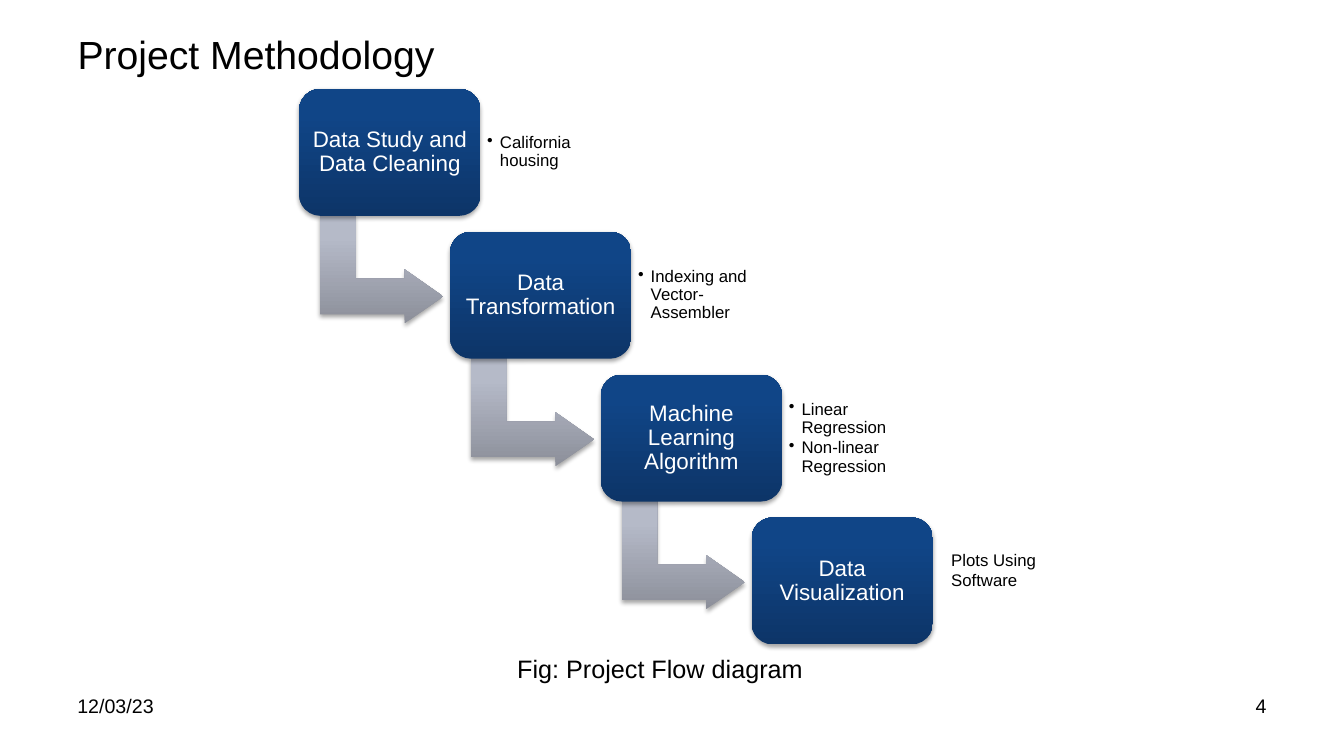
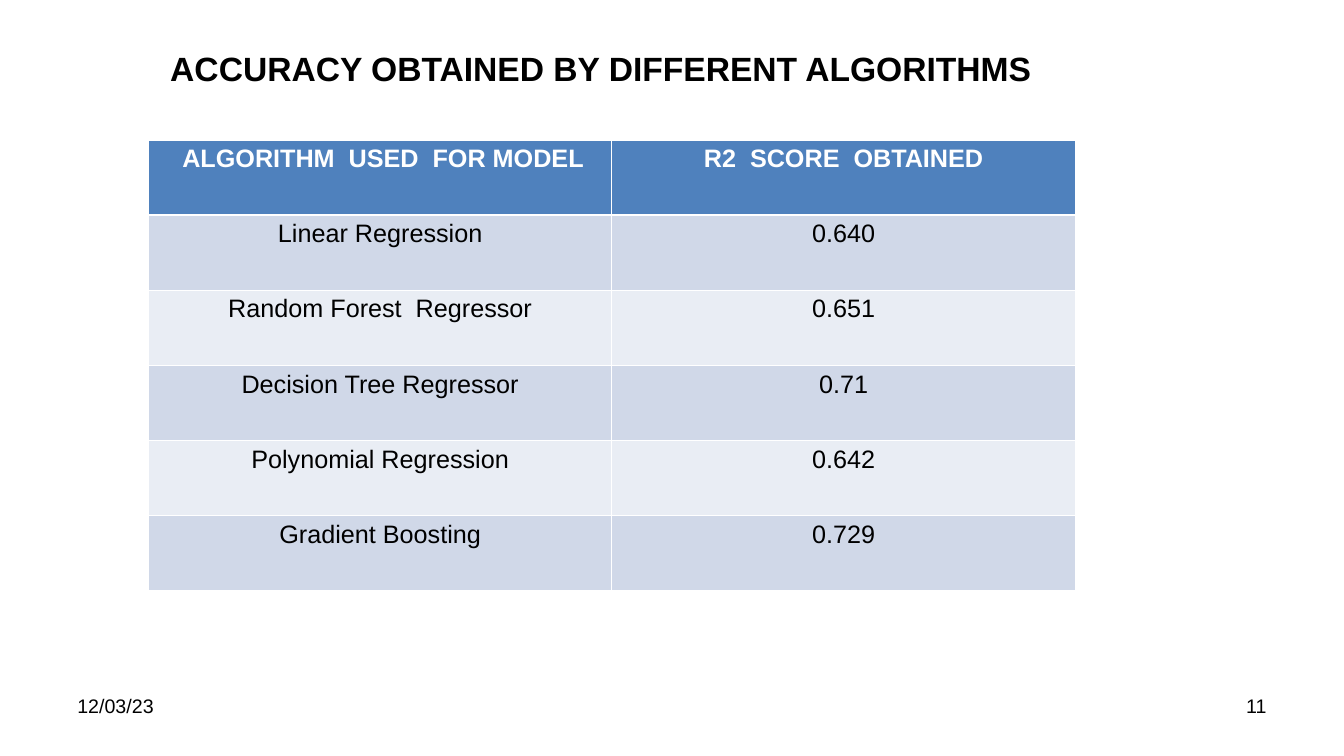
import pptx
import pptx.dml.color
import pptx.enum.shapes
import pptx.enum.text
import pptx.oxml
import pptx.oxml.ns
import pptx.util

Cm = pptx.util.Cm
Pt = pptx.util.Pt
RGBColor = pptx.dml.color.RGBColor
Align = pptx.enum.text.PP_ALIGN
Anchor = pptx.enum.text.MSO_ANCHOR
Shape = pptx.enum.shapes.MSO_SHAPE

FONT = "Arial"
BLACK = RGBColor(0x00, 0x00, 0x00)
WHITE = RGBColor(0xFF, 0xFF, 0xFF)
HEADER_BLUE = RGBColor(0x4F, 0x81, 0xBD)
BANDS = (RGBColor(0xD0, 0xD8, 0xE8), RGBColor(0xE9, 0xED, 0xF4))

# Gradient colours at 0, 80 and 100 percent, from bottom to top
CARD_COLOURS = (RGBColor(0x0D, 0x35, 0x68), RGBColor(0x10, 0x45, 0x87), RGBColor(0x0E, 0x45, 0x8A))
ARROW_COLOURS = (RGBColor(0x8C, 0x8F, 0x9A), RGBColor(0xB5, 0xBA, 0xC8), RGBColor(0xB6, 0xBB, 0xC9))
STOPS = (0, 80, 100)

DATE = "12/03/23"
METHOD_TITLE = "Project Methodology"
METHOD_CAPTION = "Fig: Project Flow diagram"
STEPS = [
    ("Data Study and Data Cleaning", ["California housing"]),
    ("Data Transformation", ["Indexing and Vector-Assembler"]),
    ("Machine Learning Algorithm", ["Linear Regression", "Non-linear Regression"]),
    ("Data Visualization", []),
]
LAST_STEP_NOTE = "Plots Using Software"

SCORES_TITLE = "ACCURACY OBTAINED BY DIFFERENT ALGORITHMS"
SCORES = [
    (" ALGORITHM  USED  FOR MODEL", "R2  SCORE  OBTAINED"),
    ("Linear Regression", "0.640"),
    ("Random Forest  Regressor", "0.651"),
    ("Decision Tree Regressor", "0.71"),
    ("Polynomial Regression", "0.642"),
    ("Gradient Boosting", "0.729"),
]

# Lengths in centimetres
MARGIN = 1.7
FOOTER_TOP, FOOTER_WIDTH, FOOTER_HEIGHT = 17.35, 7.9, 1.32
SLIDE_WIDTH, SLIDE_HEIGHT = 33.87, 19.05
CARD_LEFT, CARD_TOP, CARD_WIDTH, CARD_HEIGHT = 7.54, 2.24, 4.57, 3.2
STEP_RIGHT, STEP_DOWN = 3.8, 3.6
ARROW_WIDTH, ARROW_HEIGHT = 2.72, 3.1
NOTE_WIDTH, NOTE_HEIGHT = 3.33, 2.6
INSET = 0.17


def style(para, size, colour=BLACK, align=Align.LEFT, bold=False):
    para.alignment = align
    para.font.name = FONT
    para.font.size = Pt(size)
    para.font.bold = bold
    para.font.color.rgb = colour


def add_text(page, text, box, size, align=Align.LEFT):
    frame = page.shapes.add_textbox(*map(Cm, box)).text_frame
    frame.word_wrap = True
    frame.text = text
    style(frame.paragraphs[0], size, align=align)


def set_insets(frame):
    frame.word_wrap = True
    frame.vertical_anchor = Anchor.MIDDLE
    frame.margin_left = frame.margin_right = Cm(INSET)
    frame.margin_top = frame.margin_bottom = Cm(INSET)


def add_page(deck, number, title, title_box, **title_style):
    """Add a slide with its title, date and slide number."""
    page = deck.slides.add_slide(deck.slide_layouts[5])
    heading = page.shapes.title
    heading.left, heading.top, heading.width, heading.height = map(Cm, title_box)
    heading.text_frame.text = title
    heading.text_frame.auto_size = pptx.enum.text.MSO_AUTO_SIZE.NONE
    heading.text_frame.vertical_anchor = Anchor.MIDDLE
    style(heading.text_frame.paragraphs[0], **title_style)

    footer_size = (FOOTER_WIDTH, FOOTER_HEIGHT)
    number_left = SLIDE_WIDTH - MARGIN - FOOTER_WIDTH
    add_text(page, DATE, (MARGIN, FOOTER_TOP, *footer_size), 14)
    add_text(page, str(number), (number_left, FOOTER_TOP, *footer_size), 14, Align.RIGHT)
    return page


def shade(shape, colours):
    """Give a shape a vertical gradient, no outline and a soft shadow below."""
    namespace = pptx.oxml.ns.nsdecls("a")
    stops = "".join(
        f'<a:gs pos="{stop * 1000}"><a:srgbClr val="{colour}"/></a:gs>'
        for stop, colour in zip(STOPS, colours)
    )
    gradient = (
        f'<a:gradFill {namespace} rotWithShape="0"><a:gsLst>{stops}</a:gsLst>'
        '<a:lin ang="16200000" scaled="0"/></a:gradFill>'
    )
    shadow = (
        f'<a:effectLst {namespace}><a:outerShdw blurRad="40000" dist="23000" '
        'dir="5400000" rotWithShape="0"><a:srgbClr val="000000">'
        '<a:alpha val="35000"/></a:srgbClr></a:outerShdw></a:effectLst>'
    )
    shape.line.fill.background()
    properties = shape._element.spPr
    properties.find(pptx.oxml.ns.qn("a:ln")).addprevious(pptx.oxml.parse_xml(gradient))
    properties.append(pptx.oxml.parse_xml(shadow))


def add_arrow(page, left, top):
    """Add the bent arrow that leads from the card at left, top to the next."""
    box = (left + 0.72, top + 3, ARROW_WIDTH, ARROW_HEIGHT)
    arrow = page.shapes.add_shape(Shape.BENT_UP_ARROW, *map(Cm, box))
    arrow.rotation = 90
    for index, value in enumerate((0.328, 0.25, 0.358)):
        arrow.adjustments[index] = value
    shade(arrow, ARROW_COLOURS)


def add_card(page, left, top, label):
    box = (left, top, CARD_WIDTH, CARD_HEIGHT)
    card = page.shapes.add_shape(Shape.ROUNDED_RECTANGLE, *map(Cm, box))
    shade(card, CARD_COLOURS)
    set_insets(card.text_frame)
    card.text_frame.text = label
    para = card.text_frame.paragraphs[0]
    style(para, 16, WHITE, Align.CENTER)
    para.line_spacing = 0.9


def add_bullets(page, left, top, items):
    box = (left, top, NOTE_WIDTH, NOTE_HEIGHT)
    frame = page.shapes.add_textbox(*map(Cm, box)).text_frame
    set_insets(frame)
    frame.text = "\n".join(items)
    for para in frame.paragraphs:
        style(para, 12)
        para.line_spacing = 0.9
        para.space_after = Pt(1.8)
        properties = para._element.get_or_add_pPr()
        properties.set("marL", str(Cm(0.32)))
        properties.set("indent", str(Cm(-0.32)))
        bullet = f'<a:buChar {pptx.oxml.ns.nsdecls("a")} char="•"/>'
        properties.find(pptx.oxml.ns.qn("a:defRPr")).addprevious(pptx.oxml.parse_xml(bullet))


def build_methodology(deck):
    page = add_page(deck, 4, METHOD_TITLE, (MARGIN, 0.53, 30.48, 1.63), size=28)
    add_text(page, METHOD_CAPTION, (7.95, 16.33, 17.37, 1.78), 18, Align.CENTER)
    for index, (label, items) in enumerate(STEPS):
        left = CARD_LEFT + index * STEP_RIGHT
        top = CARD_TOP + index * STEP_DOWN
        if index < len(STEPS) - 1:
            add_arrow(page, left, top)
        add_card(page, left, top, label)
        if items:
            add_bullets(page, left + CARD_WIDTH, top + 0.3, items)
    add_text(page, LAST_STEP_NOTE, (23.72, 13.72, 3.86, 1.27), 12)


def build_scores(deck):
    page = add_page(deck, 11, SCORES_TITLE, (3.94, 1.09, 22.4, 1.27),
                    size=24, align=Align.CENTER, bold=True)
    box = (3.74, 3.53, 23.36, 11.34)
    table = page.shapes.add_table(len(SCORES), len(SCORES[0]), *map(Cm, box)).table
    for row, values in enumerate(SCORES):
        header = row == 0
        for column, value in enumerate(values):
            cell = table.cell(row, column)
            cell.text = value
            cell.fill.solid()
            cell.fill.fore_color.rgb = HEADER_BLUE if header else BANDS[(row - 1) % 2]
            style(cell.text_frame.paragraphs[0], 18, WHITE if header else BLACK,
                  Align.CENTER, header)


def main():
    deck = pptx.Presentation()
    deck.slide_width, deck.slide_height = Cm(SLIDE_WIDTH), Cm(SLIDE_HEIGHT)
    build_methodology(deck)
    build_scores(deck)
    deck.save("out.pptx")


if __name__ == "__main__":
    main()
